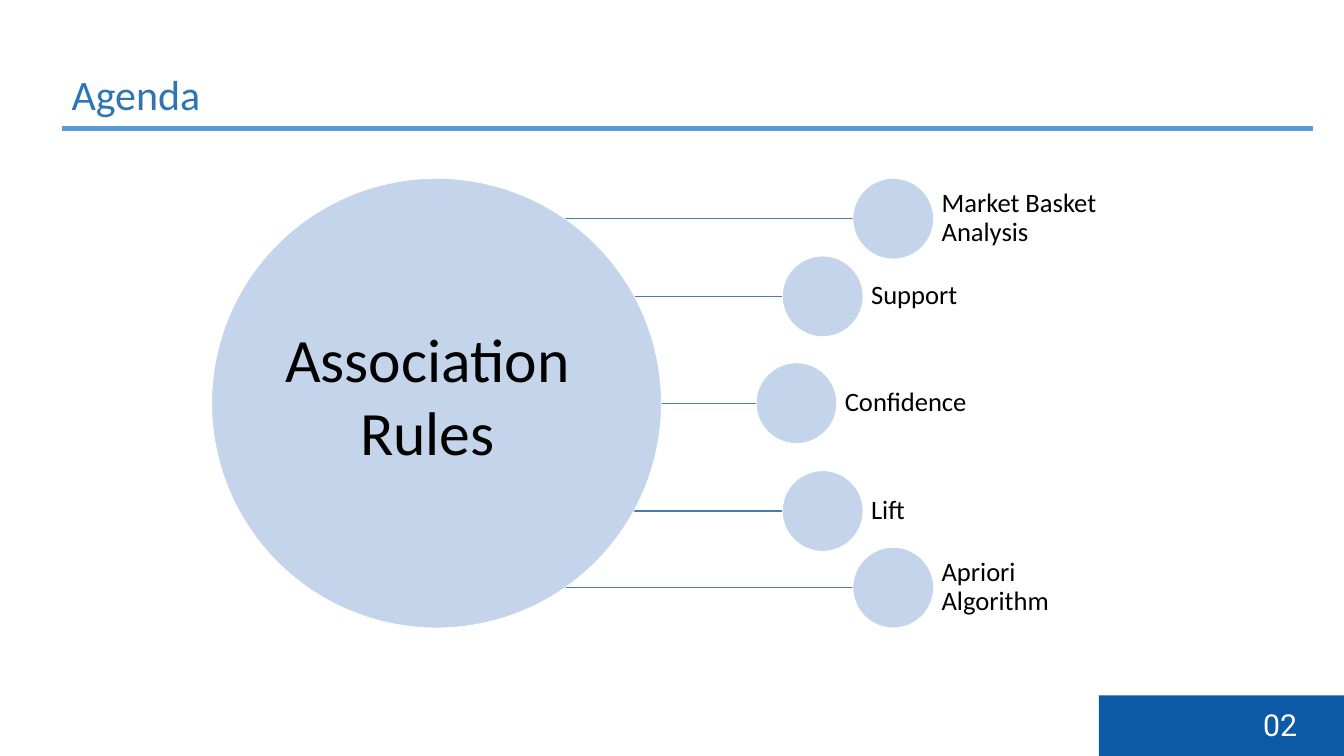
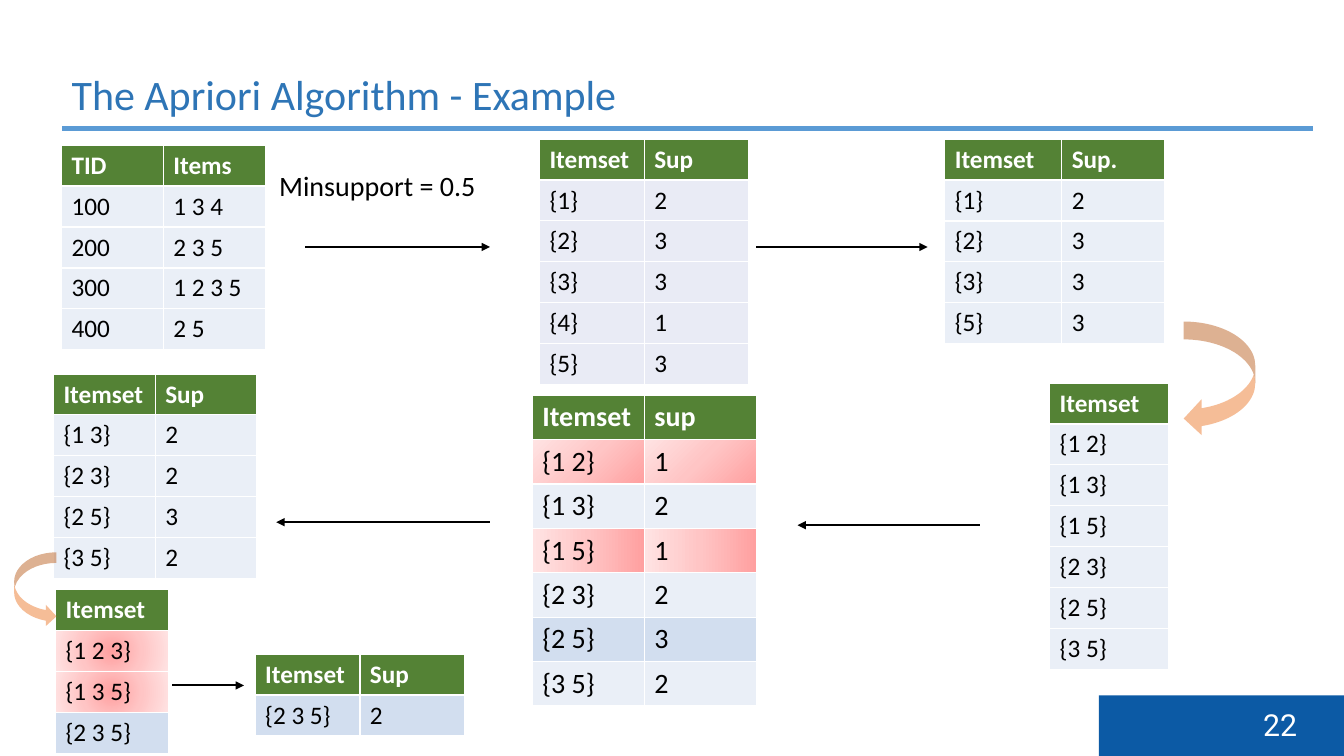
from lxml import etree
from pptx import Presentation
from pptx.dml.color import RGBColor
from pptx.enum.shapes import MSO_CONNECTOR, MSO_SHAPE
from pptx.enum.text import MSO_ANCHOR, MSO_AUTO_SIZE, PP_ALIGN
from pptx.oxml import parse_xml
from pptx.oxml.ns import nsdecls, qn
from pptx.util import Pt

PX = 9144  # 100 px to the inch
RECT, OVAL = MSO_SHAPE.RECTANGLE, MSO_SHAPE.OVAL
LEFT_TURN, RIGHT_TURN = MSO_SHAPE.CURVED_LEFT_ARROW, MSO_SHAPE.CURVED_RIGHT_ARROW
STRAIGHT = MSO_CONNECTOR.STRAIGHT
TOP, MIDDLE = MSO_ANCHOR.TOP, MSO_ANCHOR.MIDDLE
LEFT, CENTER = PP_ALIGN.LEFT, PP_ALIGN.CENTER

WHITE = RGBColor(0xFF, 0xFF, 0xFF)
BLACK = RGBColor(0x00, 0x00, 0x00)
TITLE = RGBColor(0x2E, 0x75, 0xB6)
RULE = RGBColor(0x5B, 0x9B, 0xD5)
BADGE = RGBColor(0x0C, 0x5A, 0xA5)
DISC = RGBColor(0xC4, 0xD5, 0xEB)
LINK = RGBColor(0x49, 0x7C, 0xAB)
ORANGE = RGBColor(0xED, 0x7D, 0x31)
GREEN = RGBColor(0x54, 0x82, 0x35)
PALE = RGBColor(0xEA, 0xEF, 0xF7)
LILAC = RGBColor(0xE9, 0xEB, 0xF5)
BLUE = RGBColor(0xD2, 0xDE, 0xEF)
PINKS = ((0, "FFA0A0"), (50, "FFC5C5"), (100, "FFE3E3"))
DIAG = '<a:lin ang="13500000" scaled="1"/>'
SIDE = '<a:lin ang="10800000" scaled="1"/>'
ROUND = ('<a:path path="circle"><a:fillToRect l="50000" t="50000" '
         'r="50000" b="50000"/></a:path>')


def add_block(slide, kind, box, fill, edge=None):
    """Add a filled shape; edge is the width of its white outline."""
    block = slide.shapes.add_shape(kind, *[n * PX for n in box])
    block.shadow.inherit = False
    block.fill.solid()
    block.fill.fore_color.rgb = fill
    if edge:
        block.line.color.rgb = WHITE
        block.line.width = Pt(edge)
    else:
        block.line.fill.background()
    return block


def set_text(shape, words, size, color=BLACK, font="Calibri",
             anchor=TOP, align=LEFT, space=1.0):
    frame = shape.text_frame
    frame.text = words
    frame.word_wrap = True
    frame.auto_size = MSO_AUTO_SIZE.NONE
    frame.vertical_anchor = anchor
    para = frame.paragraphs[0]
    para.alignment = align
    para.line_spacing = space
    para.font.size = Pt(size)
    para.font.name = font
    para.font.color.rgb = color


deck = Presentation()
deck.slide_width, deck.slide_height = 1333 * PX, 750 * PX

# Title, rule and page badge
slides = []
for name, page in (("Agenda", "02"), ("The Apriori Algorithm - Example", "22")):
    slide = deck.slides.add_slide(deck.slide_layouts[5])
    slides.append(slide)
    title = slide.shapes.title
    title.left, title.top, title.width, title.height = [
        n * PX for n in (61, 63, 1242, 61)]
    set_text(title, name, 30, TITLE)
    add_block(slide, RECT, (1090, 690, 243, 60), BADGE)
    number = slide.shapes.add_textbox(*[n * PX for n in (1243, 696, 80, 46)])
    set_text(number, page, 21.6, WHITE, "Roboto")
    add_block(slide, RECT, (61, 124, 1242, 7), RULE, 1)
agenda, example = slides

# Topics: label, centre of the disc, label width
topics = (
    ("Market Basket Analysis", 886, 217, 172),
    ("Support", 816, 294, 120),
    ("Confidence", 790, 400, 150),
    ("Lift", 816, 507, 80),
    ("Apriori Algorithm", 886, 583, 127),
)
hub_x, hub_y, hub_r, disc_r = 433, 400, 223, 40

# Lines: slide, ends, colour, weight, arrowhead
lines = [(agenda, (hub_x, y, x, y), LINK, 1, False) for _, x, y, _ in topics]
lines += [(example, ends, BLACK, 1.5, True) for ends in (
    (303, 245, 486, 245), (750, 245, 920, 245), (972, 521, 791, 521),
    (486, 518, 274, 518), (171, 680, 242, 680))]
for slide, ends, color, weight, head in lines:
    line = slide.shapes.add_connector(STRAIGHT, *[n * PX for n in ends])
    line.line.color.rgb = color
    line.line.width = Pt(weight)
    if head:
        etree.SubElement(line.line._get_or_add_ln(), qn("a:tailEnd"), type="triangle")
    etree.SubElement(line._element.spPr, qn("a:effectLst"))

add_block(agenda, OVAL, (hub_x - hub_r, hub_y - hub_r, 2 * hub_r, 2 * hub_r), DISC, 0.5)
for name, x, y, width in topics:
    top, side = y - disc_r, 2 * disc_r
    add_block(agenda, OVAL, (x - disc_r, top, side, side), DISC, 0.5)
    label = agenda.shapes.add_textbox(
        *[n * PX for n in (x + disc_r, top, width, side)])
    set_text(label, name, 19, anchor=MIDDLE, space=0.9)
    frame = label.text_frame
    frame.margin_left = frame.margin_right = 8 * PX
    frame.margin_top = frame.margin_bottom = 0
hub = agenda.shapes.add_textbox(*[n * PX for n in (255, 313, 338, 158)])
set_text(hub, "Association Rules", 44, align=CENTER)

note = example.shapes.add_textbox(*[n * PX for n in (267, 166, 257, 49)])
set_text(note, "Minsupport = 0.5", 20, space=0.9)

# Tables: left, top, height, column widths, font size, fill, marked rows, rows
tables = (
    (61, 144, 203, (101, 101), 18, PALE, {},
     ("TID|Items", "100|1 3 4", "200|2 3 5", "300|1 2 3 5", "400|2 5")),
    (535, 138, 243, (104, 104), 18, LILAC, {},
     ("Itemset|Sup", "{1}|2", "{2}|3", "{3}|3", "{4}|1", "{5}|3")),
    (937, 138, 203, (116, 102), 18, PALE, {},
     ("Itemset|Sup.", "{1}|2", "{2}|3", "{3}|3", "{5}|3")),
    (1041, 380, 284, (118,), 18, PALE, {},
     ("Itemset", "{1 2}", "{1 3}", "{1 5}", "{2 3}", "{2 5}", "{3 5}")),
    (528, 392, 303, (111, 111), 20, PALE, {1: DIAG, 3: SIDE, 5: BLUE},
     ("Itemset|sup", "{1 2}|1", "{1 3}|2", "{1 5}|1", "{2 3}|2", "{2 5}|3", "{3 5}|2")),
    (53, 371, 203, (101, 101), 18, PALE, {},
     ("Itemset|Sup", "{1 3}|2", "{2 3}|2", "{2 5}|3", "{3 5}|2")),
    (55, 585, 162, (112,), 18, BLUE, {1: ROUND, 2: ROUND},
     ("Itemset", "{1 2 3}", "{1 3 5}", "{2 3 5}")),
    (253, 649, 81, (104, 104), 18, BLUE, {}, ("Itemset|Sup", "{2 3 5}|2")),
)
stops = "".join(f'<a:gs pos="{pos * 1000}"><a:srgbClr val="{tint}"/></a:gs>'
                for pos, tint in PINKS)
for left, top, height, widths, size, base, marks, rows in tables:
    table = example.shapes.add_table(
        len(rows), len(widths),
        *[n * PX for n in (left, top, sum(widths), height)]).table
    table.horz_banding = False
    for column, width in zip(table.columns, widths):
        column.width = width * PX
    for r, row in enumerate(rows):
        fill = marks.get(r, base) if r else GREEN
        for c, words in enumerate(row.split("|")):
            cell = table.cell(r, c)
            cell.text = words
            font = cell.text_frame.paragraphs[0].font
            font.name, font.size, font.bold = "Calibri", Pt(size), r == 0
            font.color.rgb = BLACK if r else WHITE
            if isinstance(fill, str):
                cell._tc.get_or_add_tcPr().append(parse_xml(
                    f'<a:gradFill {nsdecls("a")} rotWithShape="1">'
                    f'<a:gsLst>{stops}</a:gsLst>{fill}</a:gradFill>'))
            else:
                cell.fill.solid()
                cell.fill.fore_color.rgb = fill

for kind, box in ((LEFT_TURN, (1174, 319, 71, 114)), (RIGHT_TURN, (14, 548, 42, 74))):
    turn = add_block(example, kind, box, ORANGE)
    tint = turn._element.spPr.find(qn("a:solidFill"))[0]
    etree.SubElement(tint, qn("a:alpha"), val="50000")

deck.save("out.pptx")
